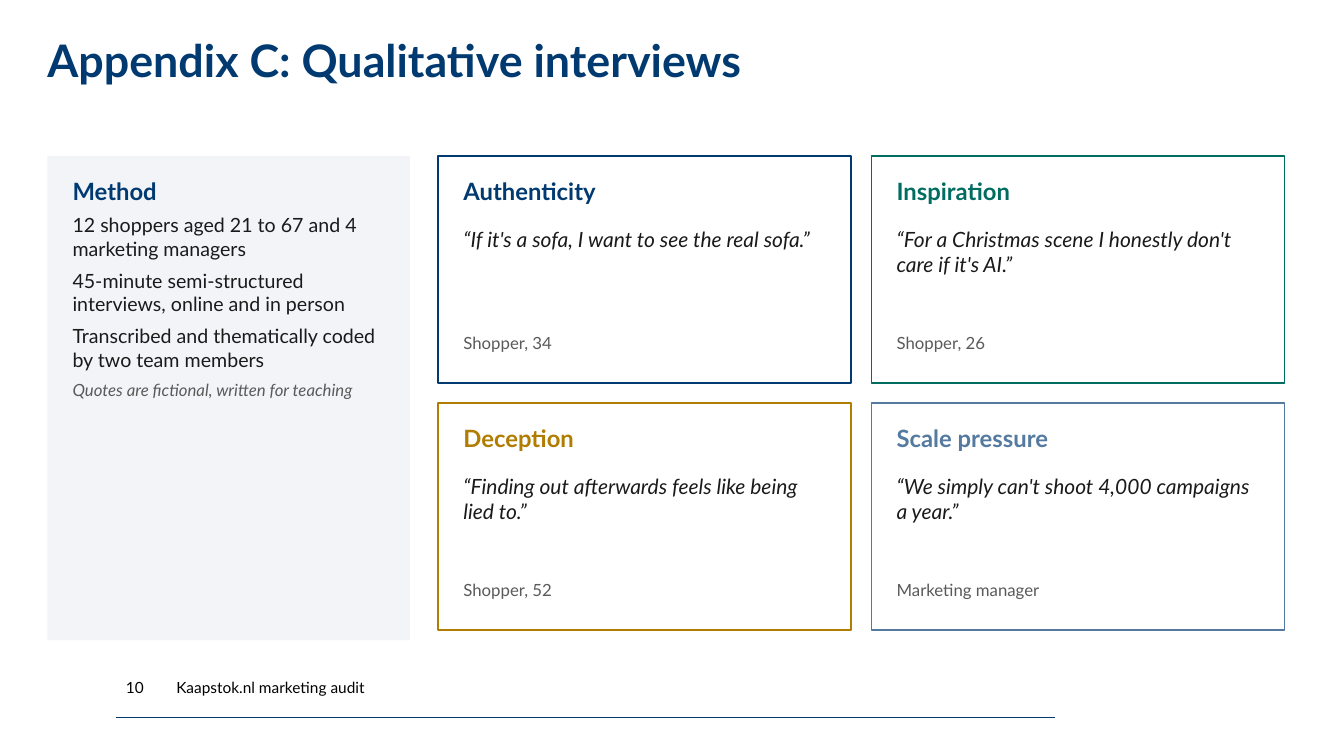
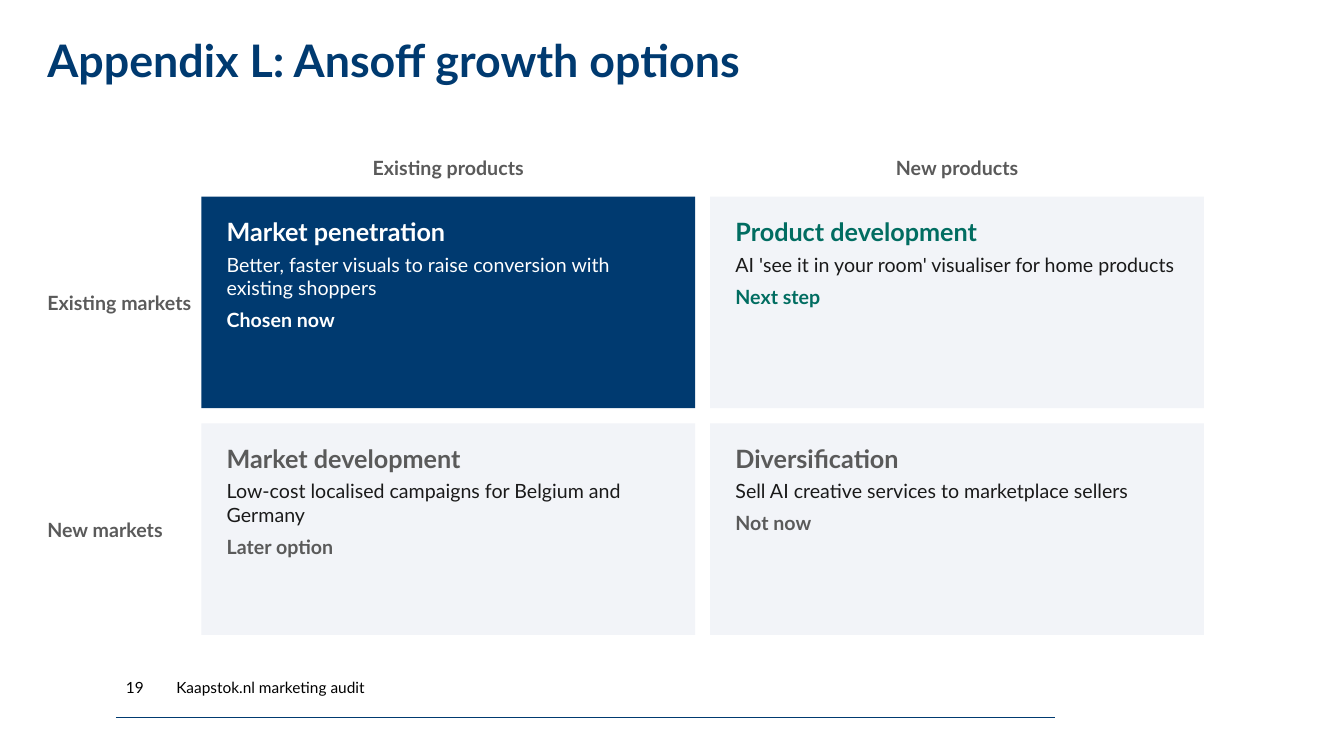
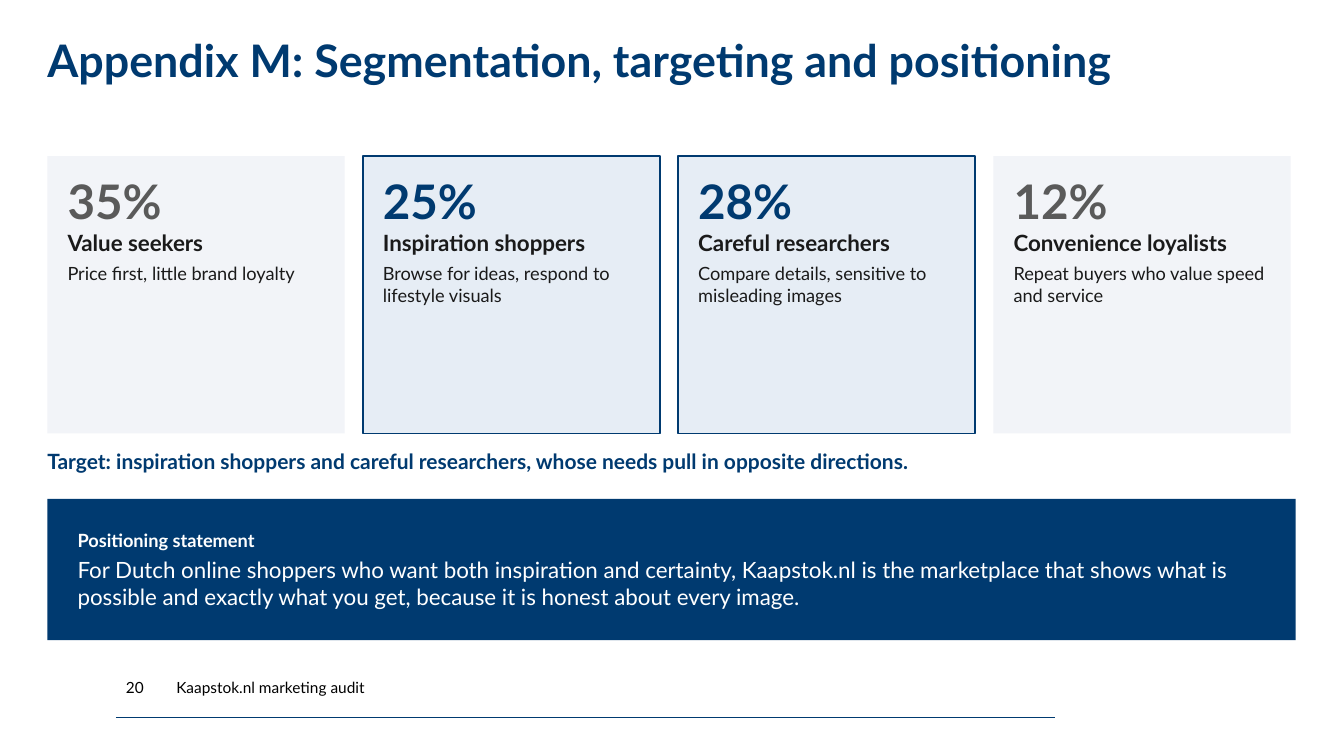
from pptx import Presentation
from pptx.dml.color import RGBColor
from pptx.enum.shapes import MSO_CONNECTOR, MSO_SHAPE
from pptx.enum.text import MSO_ANCHOR, MSO_AUTO_SIZE, PP_ALIGN
from pptx.oxml.ns import qn
from pptx.util import Emu, Pt
from lxml.etree import SubElement

PX = 9144  # 100 px to the inch
FONT = "Lato"
HEX = dict(navy="003A70", green="016D61", gold="B07D00", steel="547A9F",
           ink="1A1A1A", gray="5A5A5A", pale="F2F4F8", tint="E6EDF5",
           white="FFFFFF", black="000000")
RGB = {name: RGBColor.from_string(code) for name, code in HEX.items()}
LEFT, TOP, WIDE = 47, 155, 1239


def write(frame, paras, inset=(0, 0), anchor=MSO_ANCHOR.TOP, align=PP_ALIGN.LEFT):
    """Each para is (text, size, colour, style letters, space after)."""
    frame.word_wrap = True
    frame.auto_size = MSO_AUTO_SIZE.NONE
    frame.vertical_anchor = anchor
    frame.margin_left = frame.margin_right = Emu(inset[0] * PX)
    frame.margin_top = frame.margin_bottom = Emu(inset[1] * PX)
    for i, (text, size, color, style, after) in enumerate(paras):
        para = frame.add_paragraph() if i else frame.paragraphs[0]
        para.alignment = align
        para.space_after = Pt(after)
        run = para.add_run()
        run.text = text
        font = run.font
        font.name, font.size = FONT, Pt(size)
        font.bold, font.italic = "b" in style, "i" in style
        font.color.rgb = RGB[color]


def box(slide, x, y, w, h, paras=(), fill=None, line=None, **look):
    place = [Emu(n * PX) for n in (x, y, w, h)]
    if fill or line:
        shape = slide.shapes.add_shape(MSO_SHAPE.RECTANGLE, *place)
        shape.shadow.inherit = False
        if fill:
            shape.fill.solid()
            shape.fill.fore_color.rgb = RGB[fill]
        else:
            shape.fill.background()
        if line:
            shape.line.color.rgb = RGB[line]
            shape.line.width = Pt(1.25)
        else:
            shape.line.fill.background()
    else:
        shape = slide.shapes.add_textbox(*place)
    if paras:
        write(shape.text_frame, paras, **look)


prs = Presentation()
prs.slide_width, prs.slide_height = Emu(1334 * PX), Emu(750 * PX)
base = prs.slide_layouts[5]

# Shared title, footer and page number
slides = []
for page, title in ((10, "Appendix C: Qualitative interviews"),
                    (19, "Appendix L: Ansoff growth options"),
                    (20, "Appendix M: Segmentation, targeting and positioning")):
    slide = prs.slides.add_slide(base)
    head = slide.shapes.title
    head.left, head.top = Emu(LEFT * PX), Emu(0)
    head.width, head.height = Emu(WIDE * PX), Emu(125 * PX)
    write(head.text_frame, [(title, 32, "navy", "b", 0)], anchor=MSO_ANCHOR.MIDDLE)
    head.text_frame.paragraphs[0].line_spacing = 0.9
    for x, w, text in ((175, 400, "Kaapstok.nl marketing audit"), (125, 50, str(page))):
        box(slide, x, 662, w, 40, [(text, 11, "black", "", 0)], anchor=MSO_ANCHOR.MIDDLE)
    slides.append(slide)
talks, growth, market = slides

# Footer rule, moved to the layout so that every slide shows it
rule = talks.shapes.add_connector(MSO_CONNECTOR.STRAIGHT, *[Emu(n * PX) for n in (115, 712, 1047, 712)])
rule.line.color.rgb = RGB["navy"]
rule.line.width = Pt(0.5)
SubElement(rule.element.spPr, qn("a:effectLst"))
base.shapes.element.append(rule.element)

# Interviews: method panel
box(talks, LEFT, TOP, 360, 480, [
    ("Method", 17, "navy", "b", 6),
    ("12 shoppers aged 21 to 67 and 4 marketing managers", 14, "ink", "", 6),
    ("45-minute semi-structured interviews, online and in person", 14, "ink", "", 6),
    ("Transcribed and thematically coded by two team members", 14, "ink", "", 6),
    ("Quotes are fictional, written for teaching", 12, "gray", "i", 0),
], fill="pale", inset=(25, 20))

# Interviews: quote cards
quotes = [
    ("Authenticity", "navy", "“If it's a sofa, I want to see the real sofa.”", "Shopper, 34"),
    ("Inspiration", "green", "“For a Christmas scene I honestly don't care if it's AI.”", "Shopper, 26"),
    ("Deception", "gold", "“Finding out afterwards feels like being lied to.”", "Shopper, 52"),
    ("Scale pressure", "steel", "“We simply can't shoot 4,000 campaigns a year.”", "Marketing manager"),
]
for i, (theme, color, quote, who) in enumerate(quotes):
    x, y = 435 + i % 2 * 430, TOP + i // 2 * 245
    box(talks, x, y, 410, 225, line=color)
    for drop, h, para in ((15, 45, (theme, 17, color, "b", 0)),
                          (65, 100, (quote, 15, "ink", "i", 0)),
                          (170, 40, (who, 12, "gray", "", 0))):
        box(talks, x + 25, y + drop, 360, h, [para], inset=(0, 5))

# Ansoff: column and row labels
cols, rows = (200, 705), (195, 420)
for x, text in zip(cols, ("Existing products", "New products")):
    box(growth, x, 150, 490, 40, [(text, 14, "gray", "b", 0)],
        inset=(0, 5), align=PP_ALIGN.CENTER)
for y, text in zip(rows, ("Existing markets", "New markets")):
    box(growth, LEFT, y, 145, 210, [(text, 14, "gray", "b", 0)],
        inset=(0, 5), anchor=MSO_ANCHOR.MIDDLE)

# Ansoff: four options
options = [
    ("Market penetration", "Better, faster visuals to raise conversion with existing shoppers",
     "Chosen now", "navy", "white", "white"),
    ("Product development", "AI 'see it in your room' visualiser for home products",
     "Next step", "pale", "green", "ink"),
    ("Market development", "Low-cost localised campaigns for Belgium and Germany",
     "Later option", "pale", "gray", "ink"),
    ("Diversification", "Sell AI creative services to marketplace sellers",
     "Not now", "pale", "gray", "ink"),
]
for i, (name, text, state, fill, color, body) in enumerate(options):
    box(growth, cols[i % 2], rows[i // 2], 490, 210, [
        (name, 18, color, "b", 4), (text, 14, body, "", 6), (state, 14, color, "b", 0),
    ], fill=fill, inset=(25, 20))

# Segments: the two targets are outlined
groups = [
    ("35%", "Value seekers", "Price first, little brand loyalty", False),
    ("25%", "Inspiration shoppers", "Browse for ideas, respond to lifestyle visuals", True),
    ("28%", "Careful researchers", "Compare details, sensitive to misleading images", True),
    ("12%", "Convenience loyalists", "Repeat buyers who value speed and service", False),
]
for i, (share, name, text, target) in enumerate(groups):
    box(market, LEFT + i * 313, TOP, 295, 275, [
        (share, 34, "navy" if target else "gray", "b", 0),
        (name, 16, "ink", "b", 4), (text, 13, "ink", "", 0),
    ], fill="tint" if target else "pale", line="navy" if target else None, inset=(20, 16))

# Target and positioning
box(market, LEFT, 440, 1200, 40, [
    ("Target: inspiration shoppers and careful researchers, whose needs pull in opposite directions.",
     15, "navy", "b", 0)], inset=(0, 5))
box(market, LEFT, 495, WIDE, 140, [
    ("Positioning statement", 13, "white", "b", 4),
    ("For Dutch online shoppers who want both inspiration and certainty, Kaapstok.nl is the "
     "marketplace that shows what is possible and exactly what you get, because it is honest "
     "about every image.", 16, "white", "", 0),
], fill="navy", inset=(30, 24), anchor=MSO_ANCHOR.MIDDLE)

prs.save("out.pptx")
